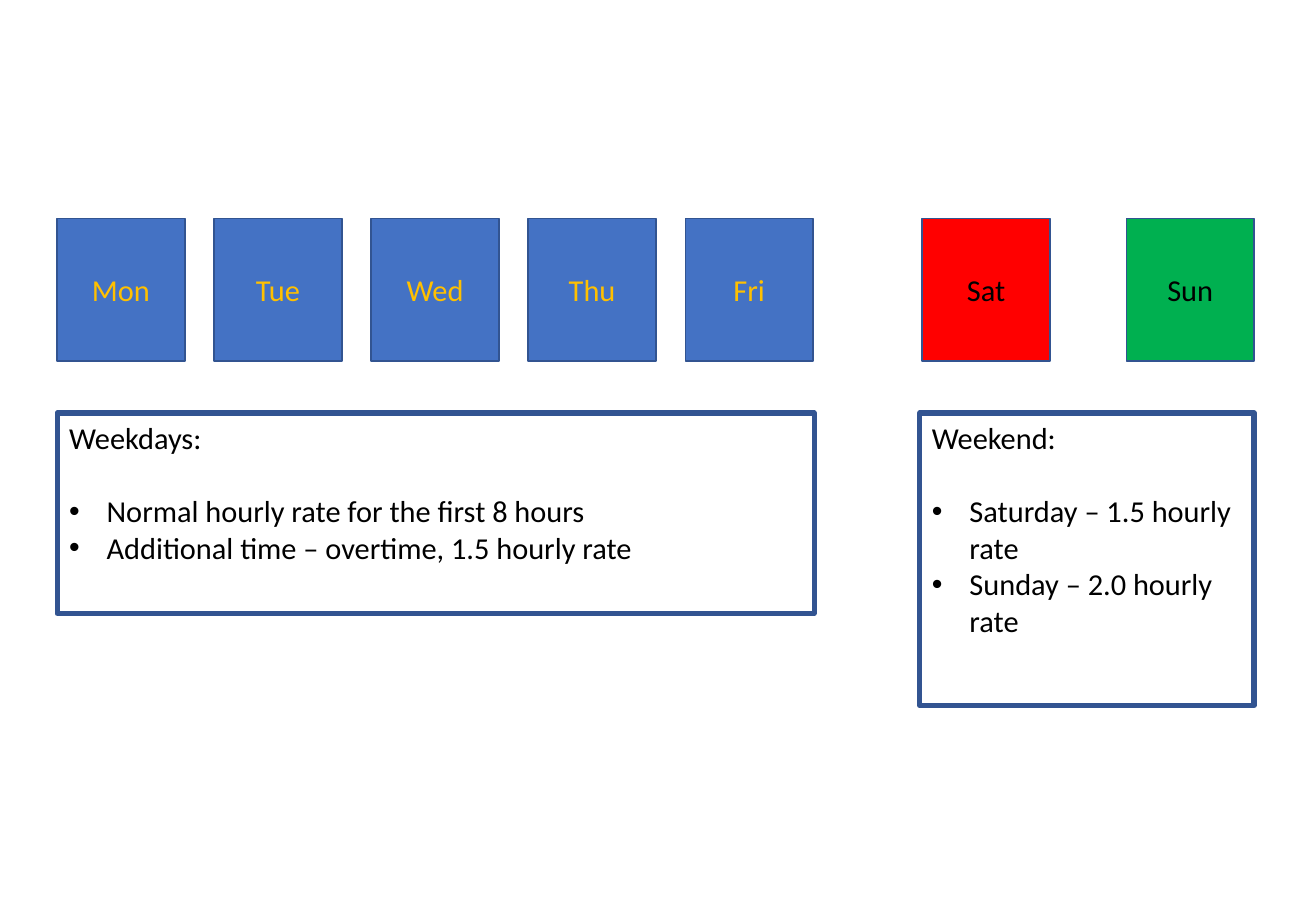
"""Build a slide of hourly pay rates by day of the week."""
from lxml.etree import SubElement
from pptx import Presentation
from pptx.dml.color import RGBColor
from pptx.enum.shapes import MSO_SHAPE
from pptx.enum.text import MSO_ANCHOR, PP_ALIGN
from pptx.oxml.ns import qn
from pptx.util import Inches, Pt

COLORS = {
    "blue": "4472C4",
    "navy": "325491",
    "gold": "FFC000",
    "red": "FF0000",
    "green": "00B050",
    "black": "000000",
}


class Board:
    def __init__(self, slide, font="Calibri", size=18):
        self.slide = slide
        self.font = font
        self.size = size

    def color(self, name):
        return RGBColor.from_string(COLORS[name])

    def box(self, left, top, width, height, line):
        shape = self.slide.shapes.add_shape(
            MSO_SHAPE.RECTANGLE, Inches(left), Inches(top), Inches(width), Inches(height)
        )
        shape.shadow.inherit = False
        shape.line.color.rgb = self.color("navy")
        shape.line.width = Pt(line)
        shape.text_frame.word_wrap = True
        return shape

    def style(self, para, color, align):
        para.alignment = align
        for run in para.runs:
            run.font.name = self.font
            run.font.size = Pt(self.size)
            run.font.color.rgb = self.color(color)

    def bullet(self, para):
        props = para._p.get_or_add_pPr()
        props.set("marL", str(Inches(0.31)))
        props.set("indent", str(-Inches(0.31)))
        SubElement(props, qn("a:buFont"), typeface="Arial")
        SubElement(props, qn("a:buChar"), char="•")

    def day(self, left, name, fill, color):
        shape = self.box(left, 1.8, 1.05, 1.17, 1)
        shape.fill.solid()
        shape.fill.fore_color.rgb = self.color(fill)
        frame = shape.text_frame
        frame.vertical_anchor = MSO_ANCHOR.MIDDLE
        frame.text = name
        self.style(frame.paragraphs[0], color, PP_ALIGN.CENTER)

    def rates(self, left, width, height, title, items):
        shape = self.box(left, 3.4, width, height, 3)
        shape.fill.background()
        frame = shape.text_frame
        frame.vertical_anchor = MSO_ANCHOR.TOP
        frame.text = title
        frame.paragraphs[0].space_after = Pt(22)
        for item in items:
            para = frame.add_paragraph()
            para.text = item
            self.bullet(para)
        for para in frame.paragraphs:
            self.style(para, "black", PP_ALIGN.LEFT)


def main():
    deck = Presentation()
    deck.slide_width = Inches(10.83)
    deck.slide_height = Inches(7.5)
    board = Board(deck.slides.add_slide(deck.slide_layouts[6]))

    first, last = 0.47, 5.64
    names = ["Mon", "Tue", "Wed", "Thu", "Fri"]
    step = (last - first) / (len(names) - 1)
    for i, name in enumerate(names):
        board.day(first + i * step, name, "blue", "gold")
    board.day(7.59, "Sat", "red", "black")
    board.day(9.27, "Sun", "green", "black")

    board.rates(first, 6.23, 1.65, "Weekdays:", [
        "Normal hourly rate for the first 8 hours",
        "Additional time – overtime, 1.5 hourly rate",
    ])
    board.rates(7.57, 2.75, 2.41, "Weekend:", [
        "Saturday – 1.5 hourly rate",
        "Sunday – 2.0 hourly rate",
    ])
    deck.save("out.pptx")


if __name__ == "__main__":
    main()
